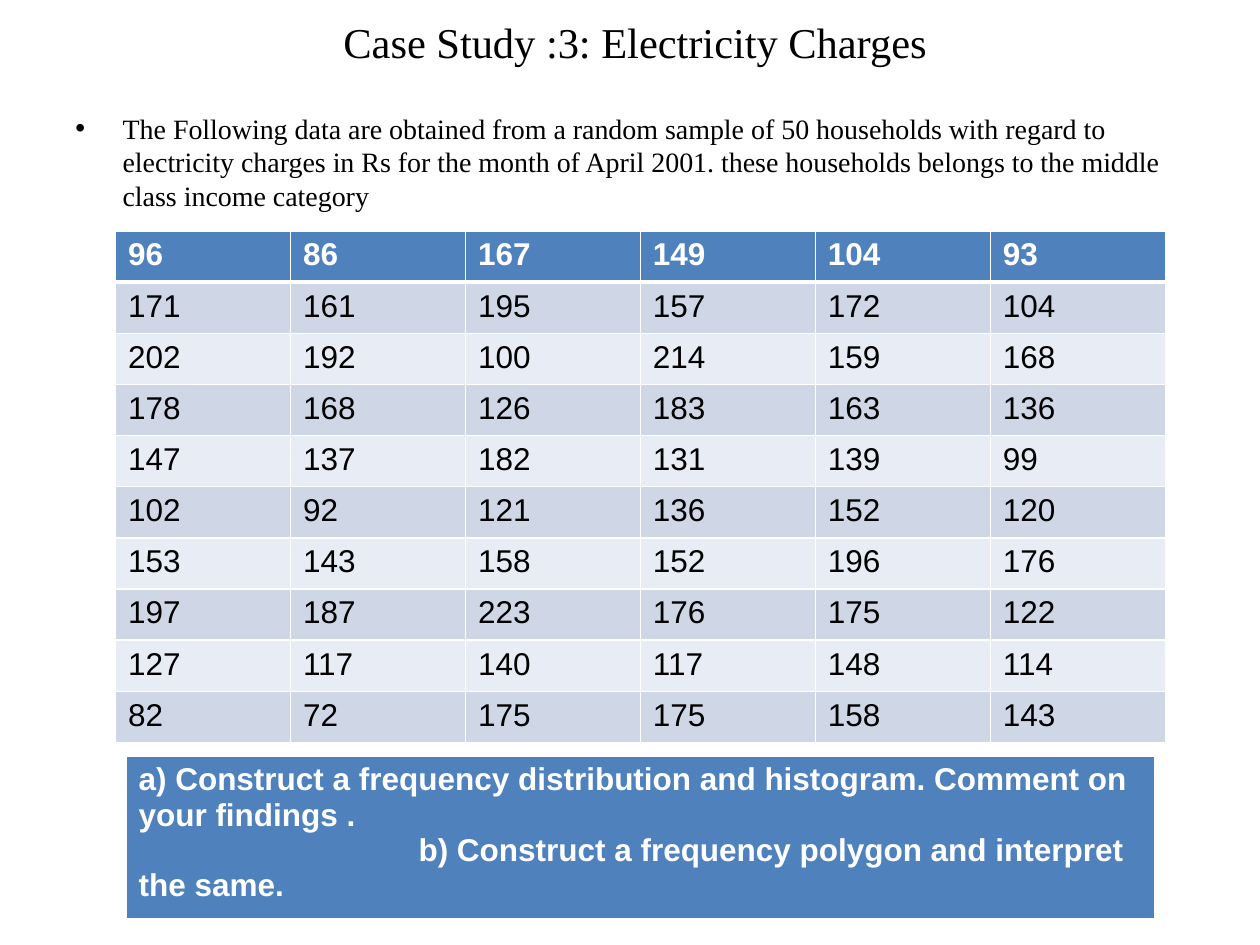
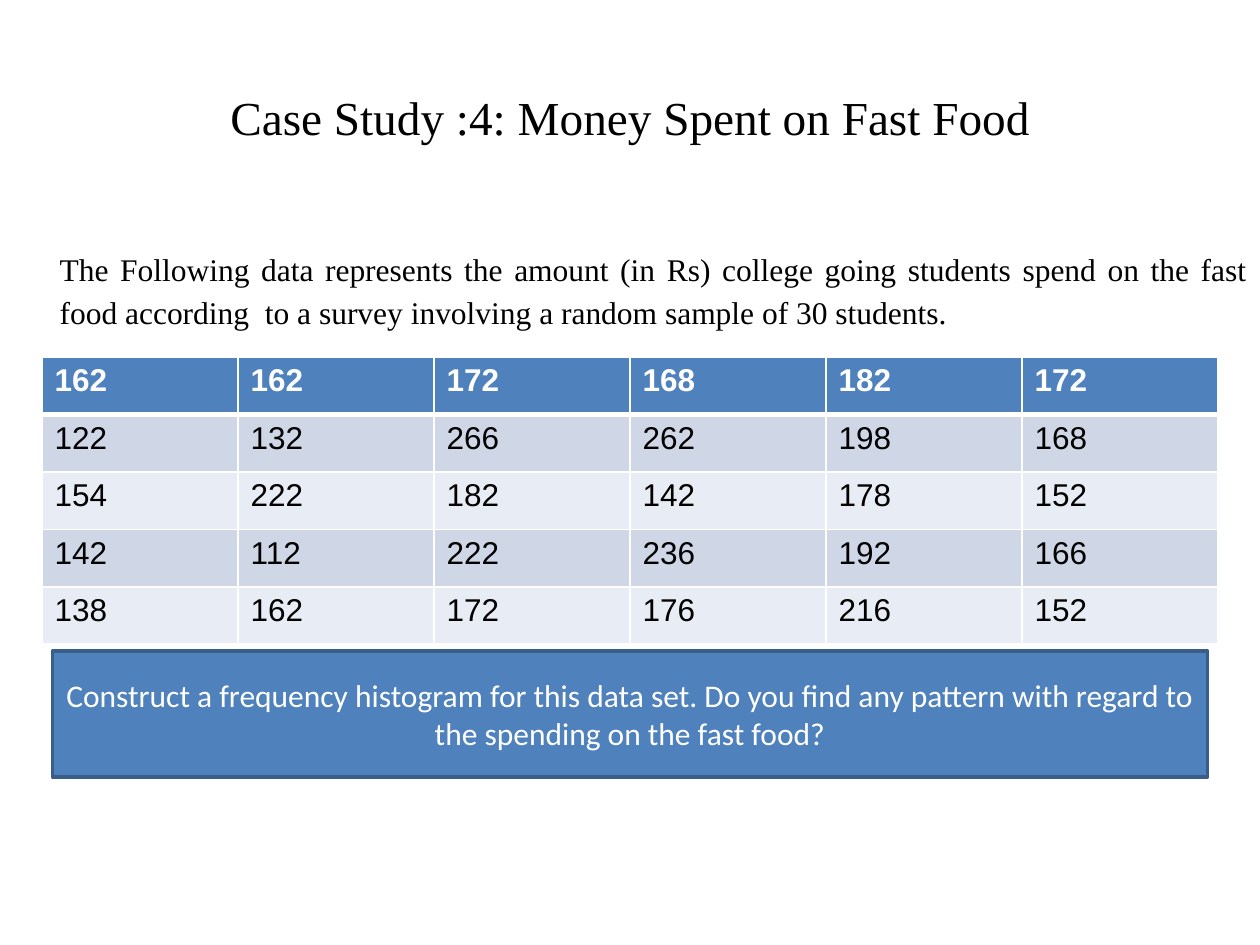
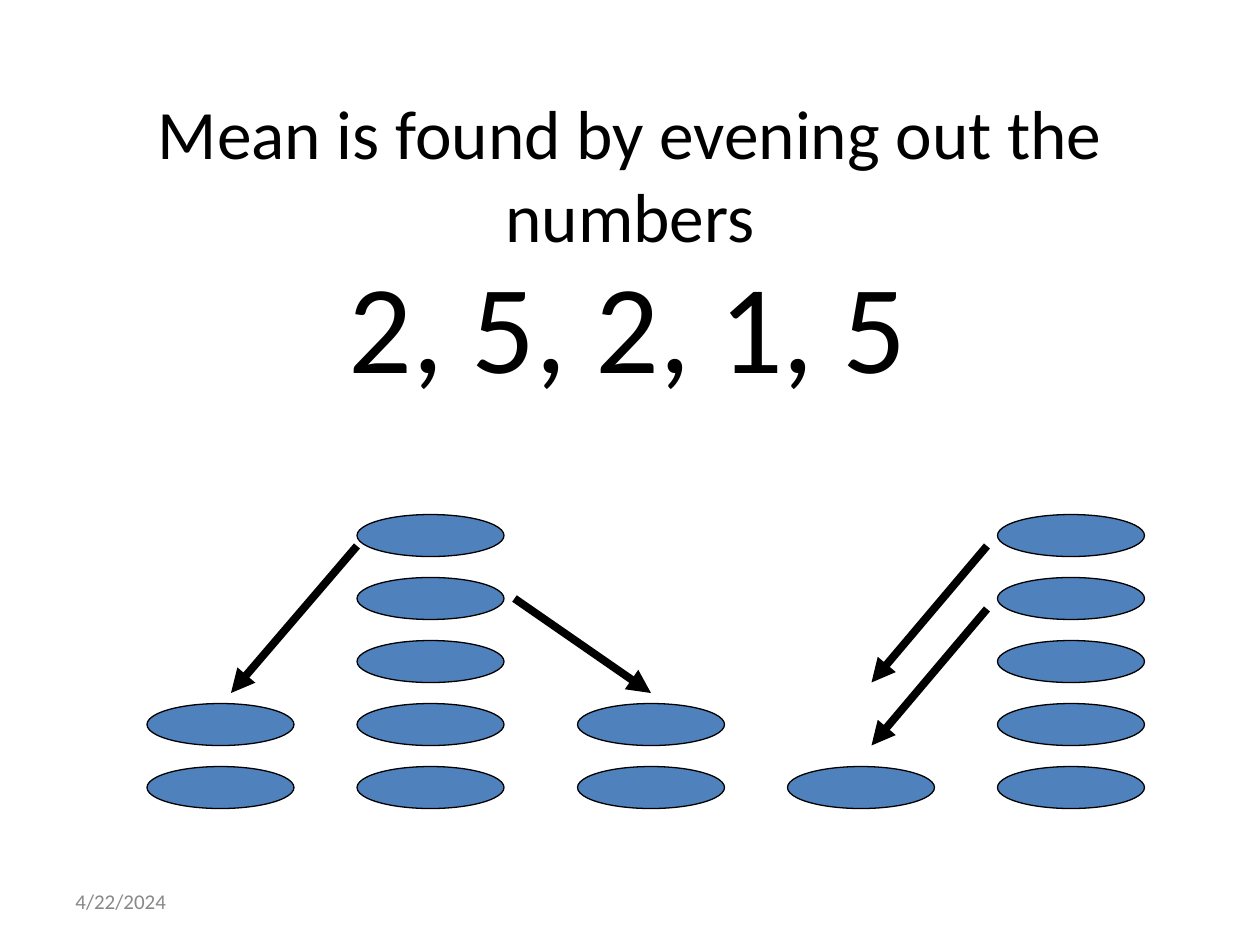
from dataclasses import dataclass
from typing import NamedTuple

from lxml.etree import SubElement
from pptx import Presentation
from pptx.dml.color import RGBColor as RGB
from pptx.enum.shapes import MSO_CONNECTOR as CONNECTOR, MSO_SHAPE as SHAPE
from pptx.enum.text import MSO_ANCHOR as ANCHOR, MSO_AUTO_SIZE as AUTO, PP_ALIGN as ALIGN
from pptx.oxml.ns import qn
from pptx.util import Pt


@dataclass(frozen=True)
class Theme:
    black: RGB = RGB(0x00, 0x00, 0x00)
    white: RGB = RGB(0xFF, 0xFF, 0xFF)
    blue: RGB = RGB(0x4F, 0x81, 0xBD)
    outline: RGB = RGB(0x39, 0x5E, 0x89)
    odd_row: RGB = RGB(0xCF, 0xD7, 0xE7)
    even_row: RGB = RGB(0xE8, 0xEC, 0xF4)
    grey: RGB = RGB(0x88, 0x88, 0x88)
    serif: str = "Times New Roman"
    sans: str = "Calibri"
    table: str = "Arial"
    charges_title: float = 24.3
    food_title: float = 27
    mean_title: float = 39.6
    intro: float = 16
    body: float = 18
    numbers: float = 72
    date: float = 12


T = Theme()


class Box(NamedTuple):
    left: float
    top: float
    width: float
    height: float

    def lengths(self) -> tuple:
        return tuple(Pt(v) for v in self)


class Style(NamedTuple):
    font: str
    size: float
    color: RGB = T.black
    bold: bool = False


class Stack(NamedTuple):
    left: float
    count: int


class Arrow(NamedTuple):
    x1: float
    y1: float
    x2: float
    y2: float


HEADER = Style(T.table, T.body, T.white, True)
CELL = Style(T.table, T.body)

CHARGES = (
    (96, 86, 167, 149, 104, 93),
    (171, 161, 195, 157, 172, 104),
    (202, 192, 100, 214, 159, 168),
    (178, 168, 126, 183, 163, 136),
    (147, 137, 182, 131, 139, 99),
    (102, 92, 121, 136, 152, 120),
    (153, 143, 158, 152, 196, 176),
    (197, 187, 223, 176, 175, 122),
    (127, 117, 140, 117, 148, 114),
    (82, 72, 175, 175, 158, 143),
)
SPENDING = (
    (162, 162, 172, 168, 182, 172),
    (122, 132, 266, 262, 198, 168),
    (154, 222, 182, 142, 178, 152),
    (142, 112, 222, 236, 192, 166),
    (138, 162, 172, 176, 216, 152),
)
TASKS = (
    "a) Construct a frequency distribution and histogram. Comment on your findings .\n"
    "b) Construct a frequency polygon and interpret the same."
)

STACKS = (Stack(84, 2), Stack(204, 5), Stack(330, 2), Stack(450, 1), Stack(570, 5))
ARROWS = (
    Arrow(204, 312, 132, 396),
    Arrow(294, 342, 372, 396),
    Arrow(564, 348, 498, 426),
    Arrow(564, 312, 498, 390),
)
DISC_WIDTH, DISC_HEIGHT, DISC_STEP, STACK_BASE = 84, 24, 36, 438


def write(tf, text: str, style: Style, align=ALIGN.LEFT) -> None:
    tf.text = text
    for p in tf.paragraphs:
        p.alignment = align
        for r in p.runs:
            r.font.name = style.font
            r.font.size = Pt(style.size)
            r.font.bold = style.bold
            r.font.color.rgb = style.color


def indent(p, margin: float, first: float, bullet: str = "") -> None:
    pPr = p._p.get_or_add_pPr()
    pPr.set("marL", str(Pt(margin)))
    pPr.set("indent", str(Pt(first)))
    if bullet:
        SubElement(pPr, qn("a:buFont"), typeface=T.table)
        SubElement(pPr, qn("a:buChar"), char=bullet)


def add_titled_slide(prs, text: str, box: Box, style: Style):
    s = prs.slides.add_slide(prs.slide_layouts[5])
    title = s.shapes.title
    title.left, title.top, title.width, title.height = box.lengths()
    tf = title.text_frame
    tf.auto_size = AUTO.NONE
    tf.vertical_anchor = ANCHOR.MIDDLE
    write(tf, text, style, ALIGN.CENTER)
    return s


def add_text(s, text: str, box: Box, style: Style, align=ALIGN.LEFT):
    tf = s.shapes.add_textbox(*box.lengths()).text_frame
    tf.word_wrap = True
    write(tf, text, style, align)
    return tf


def add_shape(s, kind, box: Box, line: RGB, line_width: float):
    sp = s.shapes.add_shape(kind, *box.lengths())
    sp.shadow.inherit = False
    sp.fill.solid()
    sp.fill.fore_color.rgb = T.blue
    sp.line.color.rgb = line
    sp.line.width = Pt(line_width)
    return sp


def add_arrow(s, arrow: Arrow) -> None:
    line = s.shapes.add_connector(CONNECTOR.STRAIGHT, *(Pt(v) for v in arrow))
    line.line.color.rgb = T.black
    line.line.width = Pt(4.5)
    SubElement(line.line._get_or_add_ln(), qn("a:tailEnd"), type="triangle")
    SubElement(line._element.spPr, qn("a:effectLst"))


def format_cell(cell, fill: RGB, bottom: float) -> None:
    tcPr = cell._tc.get_or_add_tcPr()
    for side, width in (("L", 1), ("R", 1), ("T", 1), ("B", bottom)):
        ln = SubElement(tcPr, qn(f"a:ln{side}"), w=str(Pt(width)))
        color = SubElement(SubElement(ln, qn("a:solidFill")), qn("a:srgbClr"))
        color.set("val", str(T.white))
    cell.fill.solid()
    cell.fill.fore_color.rgb = fill


def add_table(s, rows: tuple, box: Box):
    table = s.shapes.add_table(len(rows), len(rows[0]), *box.lengths()).table
    table.horz_banding = False
    for i, row in enumerate(rows):
        fill = T.blue if i == 0 else T.odd_row if i % 2 else T.even_row
        for j, value in enumerate(row):
            cell = table.cell(i, j)
            format_cell(cell, fill, 1 if i else 3)
            write(cell.text_frame, str(value), CELL if i else HEADER)
    return table


def build_charges(prs) -> None:
    s = add_titled_slide(prs, "Case Study :3: Electricity Charges",
                         Box(24, 12, 678, 24), Style(T.serif, T.charges_title))
    tf = add_text(
        s,
        "The Following data are obtained from a random sample of 50 households with regard to "
        "electricity charges in Rs for the month of April 2001. these households belongs to the "
        "middle class income category",
        Box(36, 60, 648, 422.4), Style(T.serif, T.intro))
    indent(tf.paragraphs[0], 27, -27, "•")
    add_table(s, CHARGES, Box(66, 132, 600, 292.5))
    tasks = add_table(s, ((TASKS,),), Box(72, 432, 588, 84))
    indent(tasks.cell(0, 0).text_frame.paragraphs[1], 0, 160)


def build_spending(prs) -> None:
    s = add_titled_slide(prs, "Case Study :4: Money Spent on Fast Food",
                         Box(36, 21.6, 648, 90), Style(T.serif, T.food_title))
    tf = add_text(
        s,
        "The Following data represents the amount (in Rs) college going students spend on the "
        "fast food according  to a survey involving a random sample of 30 students.",
        Box(0, 126, 720, 356.4), Style(T.serif, T.body), ALIGN.JUSTIFY)
    tf.margin_top = Pt(14)
    tf.paragraphs[0].line_spacing = Pt(24.6)
    indent(tf.paragraphs[0], 27, 0)
    add_table(s, SPENDING, Box(24, 204, 672, 164.25))
    sp = add_shape(s, SHAPE.RECTANGLE, Box(30, 372, 660, 72), T.outline, 2)
    sp.text_frame.word_wrap = True
    sp.text_frame.vertical_anchor = ANCHOR.MIDDLE
    write(sp.text_frame,
          "Construct a frequency histogram for this data set. Do you find any pattern with "
          "regard to the spending on the fast food?",
          Style(T.sans, T.body, T.white), ALIGN.CENTER)


def build_mean(prs) -> None:
    s = add_titled_slide(prs, "Mean is found by evening out the numbers",
                         Box(54, 60, 612, 78), Style(T.sans, T.mean_title))
    date = add_text(s, "4/22/2024", Box(36, 500.4, 168, 28.8), Style(T.sans, T.date, T.grey))
    date.vertical_anchor = ANCHOR.MIDDLE
    numbers = add_text(s, "2, 5, 2, 1, 5", Box(192, 138, 338.4, 122.4),
                       Style(T.sans, T.numbers))
    numbers.auto_size = AUTO.SHAPE_TO_FIT_TEXT
    for stack in STACKS:
        for level in range(stack.count):
            disc = Box(stack.left, STACK_BASE - level * DISC_STEP, DISC_WIDTH, DISC_HEIGHT)
            add_shape(s, SHAPE.OVAL, disc, T.black, 0.75)
    for arrow in ARROWS:
        add_arrow(s, arrow)


def main() -> None:
    prs = Presentation()
    prs.slide_width, prs.slide_height = Pt(720), Pt(540)
    build_charges(prs)
    build_spending(prs)
    build_mean(prs)
    prs.save("out.pptx")


if __name__ == "__main__":
    main()
